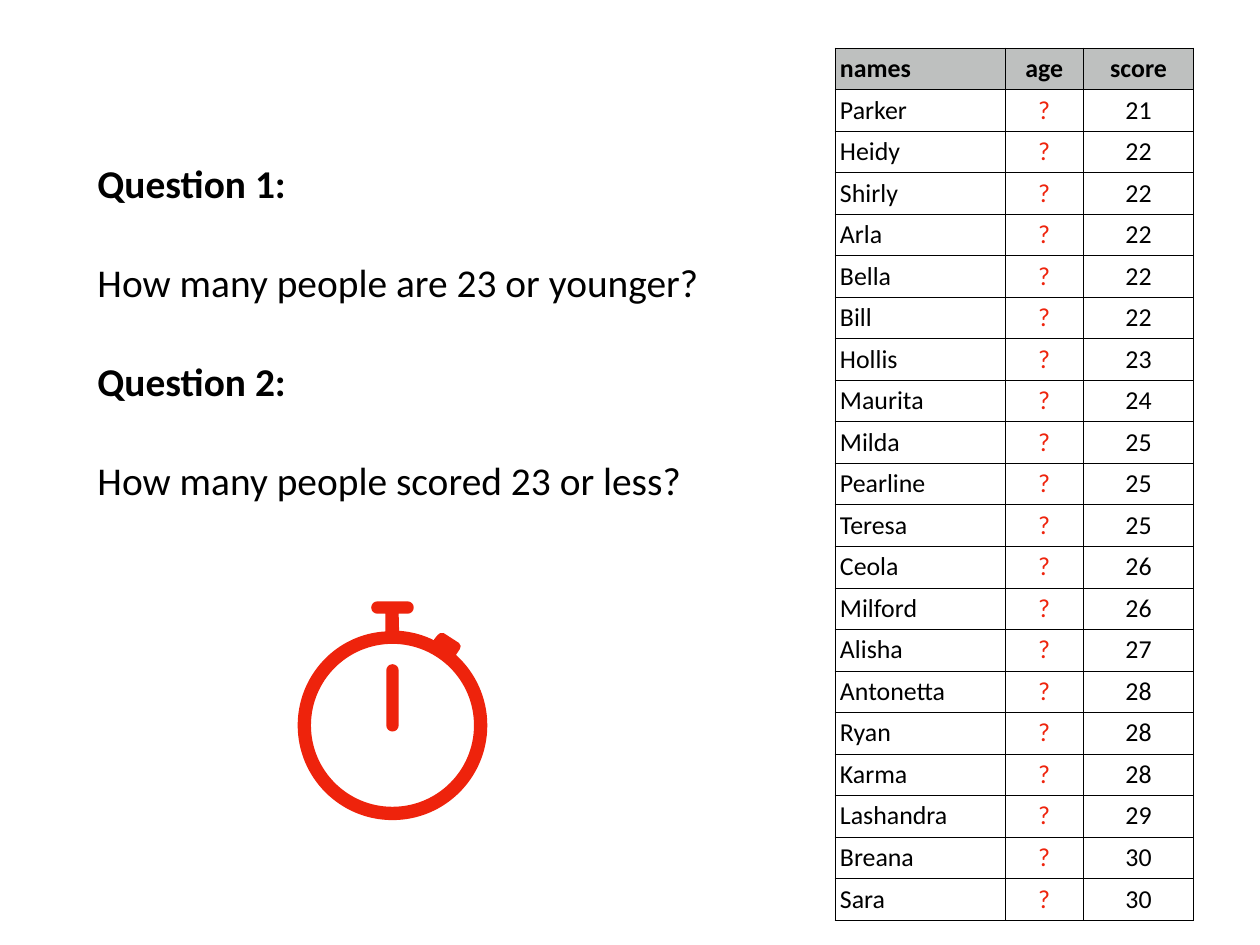
from math import ceil, cos, floor, radians, sin, tan

from lxml import etree
from pptx import Presentation
from pptx import util as u
from pptx.dml.color import RGBColor
from pptx.enum import text
from pptx.oxml import ns

PEOPLE = [
    ("Parker", 21), ("Heidy", 22), ("Shirly", 22), ("Arla", 22), ("Bella", 22),
    ("Bill", 22), ("Hollis", 23), ("Maurita", 24), ("Milda", 25), ("Pearline", 25),
    ("Teresa", 25), ("Ceola", 26), ("Milford", 26), ("Alisha", 27),
    ("Antonetta", 28), ("Ryan", 28), ("Karma", 28), ("Lashandra", 29),
    ("Breana", 30), ("Sara", 30),
]
QUESTIONS = [
    ("Question 1:", True),
    ("How many people are 23 or younger?", False),
    ("Question 2:", True),
    ("How many people scored 23 or less?", False),
]


def rgb(value):
    return RGBColor.from_string(value)


def arc(cx, cy, r, start, end):
    curves = []
    while start != end:
        if end > start:
            stop = min(end, 90 * (floor(start / 90) + 1))
        else:
            stop = max(end, 90 * (ceil(start / 90) - 1))
        a, b = radians(start), radians(stop)
        k = 4 / 3 * tan((b - a) / 4)
        curves.append([
            (cx + r * (cos(a) - k * sin(a)), cy + r * (sin(a) + k * cos(a))),
            (cx + r * (cos(b) + k * sin(b)), cy + r * (sin(b) - k * cos(b))),
            (cx + r * cos(b), cy + r * sin(b)),
        ])
        start = stop
    return curves


class Deck:
    font = "Calibri"
    black = "000000"
    red = "EE230C"
    grey = "BEC0BF"
    inset = u.Inches(0.06)

    def __init__(self, prs):
        self.slide = prs.slides.add_slide(prs.slide_layouts[1])
        title = self.slide.shapes.title._element
        title.getparent().remove(title)

    def style(self, p, size, bold, color):
        p.font.name = self.font
        p.font.size = u.Pt(size)
        p.font.bold = bold
        p.font.color.rgb = rgb(color)

    def body(self, lines, left, top, width, height):
        sp = self.slide.placeholders[1]
        sp.left, sp.top = u.Inches(left), u.Inches(top)
        sp.width, sp.height = u.Inches(width), u.Inches(height)
        tf = sp.text_frame
        tf.auto_size = text.MSO_AUTO_SIZE.NONE
        tf.vertical_anchor = text.MSO_ANCHOR.TOP
        tf.margin_left = tf.margin_right = self.inset
        tf.margin_top = tf.margin_bottom = self.inset
        tf.text = "\n".join(line for line, _ in lines)
        for p, (_, bold) in zip(tf.paragraphs, lines):
            self.style(p, 32, bold, self.black)
            p.space_before = u.Pt(42)
            pPr = p._p.get_or_add_pPr()
            pPr.set("marL", "0")
            pPr.set("indent", "0")
            bullet = etree.Element(ns.qn("a:buNone"))
            pPr.find(ns.qn("a:spcBef")).addnext(bullet)

    def border(self, cell, side, width):
        tcPr = cell._tc.get_or_add_tcPr()
        ln = etree.SubElement(tcPr, ns.qn("a:ln" + side), w=str(u.Pt(width)))
        fill = etree.SubElement(ln, ns.qn("a:solidFill"))
        etree.SubElement(fill, ns.qn("a:srgbClr"), val=self.black)

    def cell(self, cell, value, row, col):
        header = row == 0
        cell.text = str(value)
        cell.margin_left = cell.margin_right = self.inset
        cell.margin_top = cell.margin_bottom = u.Inches(0.05)
        cell.vertical_anchor = text.MSO_ANCHOR.MIDDLE
        p = cell.text_frame.paragraphs[0]
        p.alignment = text.PP_ALIGN.CENTER if col else text.PP_ALIGN.LEFT
        self.style(p, 21, header, self.red if value == "?" else self.black)
        for side in "LRTB":
            heavy = (side, row) in (("B", 0), ("T", 1))
            self.border(cell, side, 0.75 if heavy else 0.35)
        if header:
            cell.fill.solid()
            cell.fill.fore_color.rgb = rgb(self.grey)
        else:
            cell.fill.background()

    def table(self, rows, widths, left, top, height):
        frame = self.slide.shapes.add_table(
            len(rows), len(widths), u.Inches(left), u.Inches(top),
            u.Inches(sum(widths)), u.Inches(height))
        table = frame.table
        table.first_row = table.horz_banding = False
        for column, width in zip(table.columns, widths):
            column.width = u.Inches(width)
        for r, values in enumerate(rows):
            for c, value in enumerate(values):
                self.cell(table.cell(r, c), value, r, c)

    def freeform(self, contours, color):
        outlines = [[(u.Inches(x), u.Inches(y)) for seg in contour for x, y in seg]
                    for contour in contours]
        builder = self.slide.shapes.build_freeform(*outlines[0][0])
        for i, points in enumerate(outlines):
            if i:
                builder.move_to(*points[0])
            builder.add_line_segments(points[1:], close=False)
            builder.add_line_segments([], close=True)
        sp = builder.convert_to_shape()
        self.bend(sp, contours)
        sp.shadow.inherit = False
        sp.fill.solid()
        sp.fill.fore_color.rgb = rgb(color)
        sp.line.fill.background()

    def bend(self, sp, contours):
        lines = iter(list(sp._element.iter(ns.qn("a:lnTo"))))
        for contour in contours:
            for seg in contour[1:]:
                steps = [next(lines) for _ in seg]
                if len(seg) == 3:
                    curve = etree.Element(ns.qn("a:cubicBezTo"))
                    steps[0].addprevious(curve)
                    for step in steps:
                        curve.append(step[0])
                        step.getparent().remove(step)


def stopwatch(cx, cy):
    button = [
        [(5.15, 7.4), (5.15, 7.39), (5.15, 7.39)], [(5.19, 7.33)],
        [(5.21, 7.31), (5.2, 7.28), (5.18, 7.26)], [(5.01, 7.15)],
        [(4.98, 7.14), (4.95, 7.15), (4.94, 7.17)], [(4.9, 7.22)],
        [(4.9, 7.23), (4.9, 7.23), (4.9, 7.23)],
    ]
    case = ([[(cx - 0.17, 6.79)]] + arc(cx - 0.17, 6.86, 0.07, 270, 90)
            + [[(cx - 0.08, 6.93)], [(cx - 0.08, 7.13)]]
            + arc(cx, cy, 1.07, -94, -408) + button
            + arc(cx, cy, 1.07, -64, -86) + [[(cx + 0.07, 6.93)], [(cx + 0.17, 6.93)]]
            + arc(cx + 0.17, 6.86, 0.07, 90, -90) + [[(cx - 0.17, 6.79)]])
    dial = [[(cx, cy - 0.92)]] + arc(cx, cy, 0.92, -90, 270)
    hand = ([[(cx, 7.5)]] + arc(cx, 7.57, 0.07, -90, -180) + [[(cx - 0.07, cy)]]
            + arc(cx, cy, 0.07, 180, 0) + [[(cx + 0.07, 7.57)]]
            + arc(cx, 7.57, 0.07, 0, -90))
    return [case, dial, hand]


def main():
    prs = Presentation()
    prs.slide_width, prs.slide_height = u.Inches(14.22), u.Inches(10.67)
    deck = Deck(prs)
    deck.body(QUESTIONS, 1.04, 1.74, 7.86, 5)
    rows = [("names", "age", "score")] + [(name, "?", score) for name, score in PEOPLE]
    deck.table(rows, [1.92, 0.89, 1.24], 9.42, 0.54, 9.85)
    deck.freeform(stopwatch(4.43, 8.19), deck.red)
    prs.save("out.pptx")


if __name__ == "__main__":
    main()
